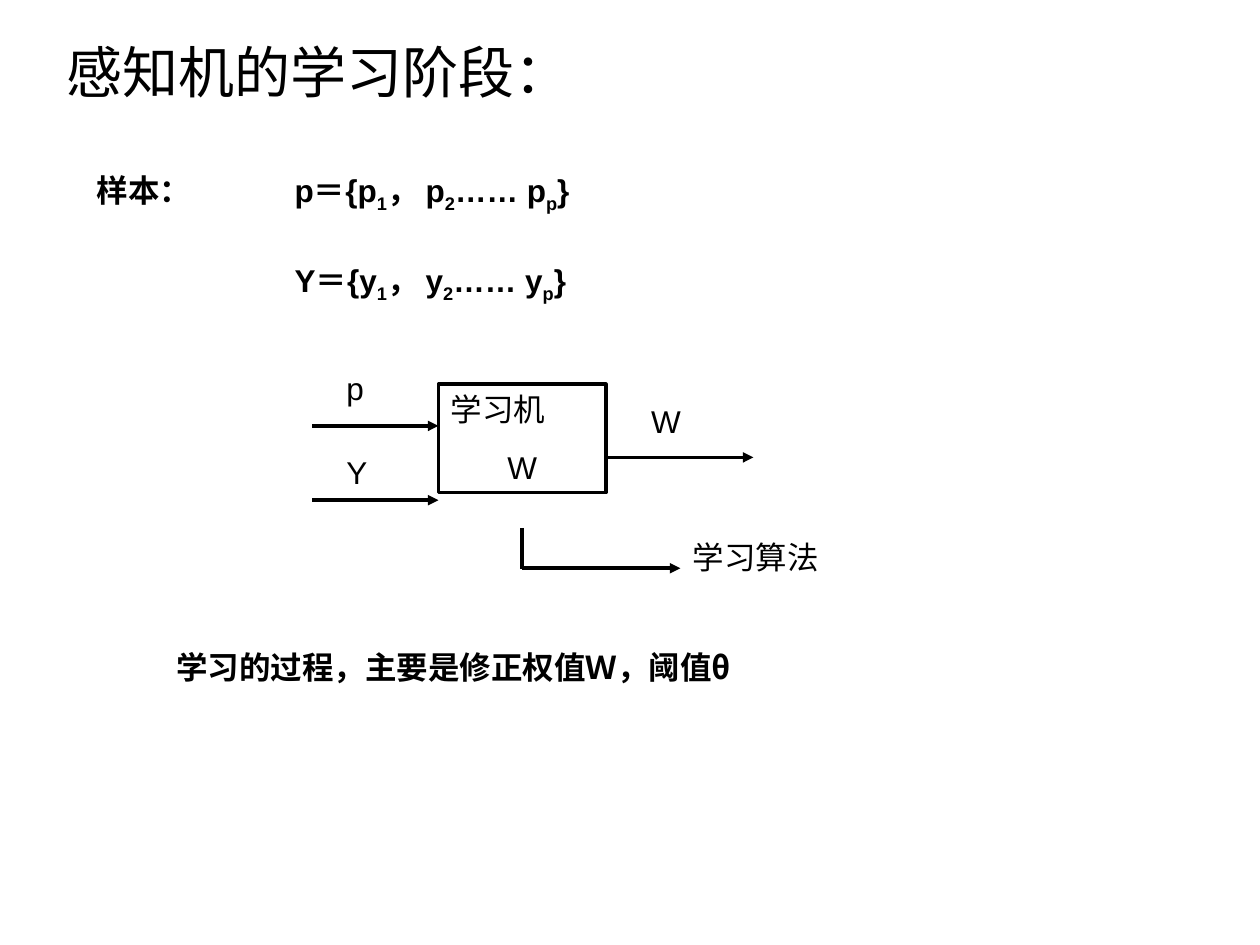
"""Build the slide on the learning stage of the perceptron."""
from lxml import etree
from pptx import Presentation
from pptx.dml.color import RGBColor
from pptx.enum.shapes import MSO_CONNECTOR, MSO_SHAPE
from pptx.enum.text import MSO_ANCHOR, PP_ALIGN
from pptx.oxml.ns import qn
from pptx.util import Inches, Pt

RECT, LINE = MSO_SHAPE.RECTANGLE, MSO_CONNECTOR.STRAIGHT
TOP, LEFT, MID = MSO_ANCHOR.TOP, PP_ALIGN.LEFT, PP_ALIGN.CENTER
WIDE, HIGH = Inches(10), Inches(7.5)
COLS, ROWS = 100, 75
COLORS = {"ink": "000000"}
INK = RGBColor.from_string(COLORS["ink"])
BODY = {"name": "Arial", "size": Pt(18), "bold": False}
BOLD = {**BODY, "bold": True}
HEAD = {**BODY, "size": Pt(32)}
GREEK = {**BOLD, "name": "Noto Sans CJK SC"}
SUB = "-25000"


def series(big, low):
    """List the runs of a sample set, with subscripts."""
    marks = [f"{big}＝{{{low}", "1", f"， {low}", "2", f"…… {low}", "p", "}"]
    return [(mark, BOLD, SUB if i % 2 else None) for i, mark in enumerate(marks)]


TEXTS = [
    ((4.3, 2.5, 49.5, 6.4), [("感知机的学习阶段：", HEAD, None)]),
    ((6.7, 13.1, 18.1, 4), [("样本：", BOLD, None)]),
    ((22.4, 13.1, 68.3, 4.4), series("p", "p")),
    ((22.4, 20.2, 72.3, 4.4), series("Y", "y")),
    ((26.5, 28.8, 5, 4), [("p", BODY, None)]),
    ((26.5, 35.5, 5, 4), [("Y", BODY, None)]),
    ((50.7, 31.4, 5, 4), [("W", BODY, None)]),
    ((54, 42.2, 18.3, 4), [("学习算法", BODY, None)]),
    ((13, 50.9, 70, 4), [("学习的过程，主要是修正权值Ｗ，阈值", BOLD, None),
                         ("θ", GREEK, None)]),
]
BOX = (34.8, 30.5, 13.3, 8.6)
LABELS = [("学习机", LEFT, 0), ("W", MID, 11.2)]
EDGE = BOX[0] + BOX[2]
STEM = BOX[0] + BOX[2] / 2
LINES = [
    ((24.8, 33.8, BOX[0], 33.8), True),
    ((24.8, 39.7, BOX[0], 39.7), True),
    ((EDGE, 36.3, 59.8, 36.3), True),
    ((STEM, 41.9, STEM, 45.2), False),
    ((STEM, 45.1, 54, 45.1), True),
]


def scale(spot):
    """Turn grid columns and rows into slide lengths."""
    return [round(n * (HIGH / ROWS if i % 2 else WIDE / COLS))
            for i, n in enumerate(spot)]


def add_run(para, text, style, base=None):
    """Add one styled run."""
    run = para.add_run()
    run.text = text
    for key, value in style.items():
        setattr(run.font, key, value)
    run.font.color.rgb = INK
    if base:
        run.font._element.set("baseline", base)


def add_text(slide, spot, runs):
    """Add a text box with one paragraph."""
    frame = slide.shapes.add_textbox(*scale(spot)).text_frame
    frame.word_wrap = True
    for run in runs:
        add_run(frame.paragraphs[0], *run)


def add_box(slide):
    """Add the learning machine."""
    box = slide.shapes.add_shape(RECT, *scale(BOX))
    box.shadow.inherit = False
    box.fill.background()
    box.line.color.rgb = INK
    box.line.width = Pt(2)
    frame = box.text_frame
    frame.word_wrap, frame.vertical_anchor = True, TOP
    for i, (text, align, gap) in enumerate(LABELS):
        para = frame.add_paragraph() if i else frame.paragraphs[0]
        para.alignment, para.space_before = align, Pt(gap)
        add_run(para, text, BODY)


def add_line(slide, ends, arrow):
    """Add a line, with an arrowhead if wanted."""
    link = slide.shapes.add_connector(LINE, *scale(ends))
    link.line.color.rgb = INK
    link.line.width = Pt(2)
    if arrow:
        etree.SubElement(link.line._get_or_add_ln(), qn("a:tailEnd"), type="triangle")
    etree.SubElement(link._element.spPr, qn("a:effectLst"))


def main():
    """Build and save the slide."""
    deck = Presentation()
    deck.slide_width, deck.slide_height = WIDE, HIGH
    slide = deck.slides.add_slide(deck.slide_layouts[6])
    for spot, runs in TEXTS:
        add_text(slide, spot, runs)
    add_box(slide)
    for ends, arrow in LINES:
        add_line(slide, ends, arrow)
    deck.save("out.pptx")


if __name__ == "__main__":
    main()
